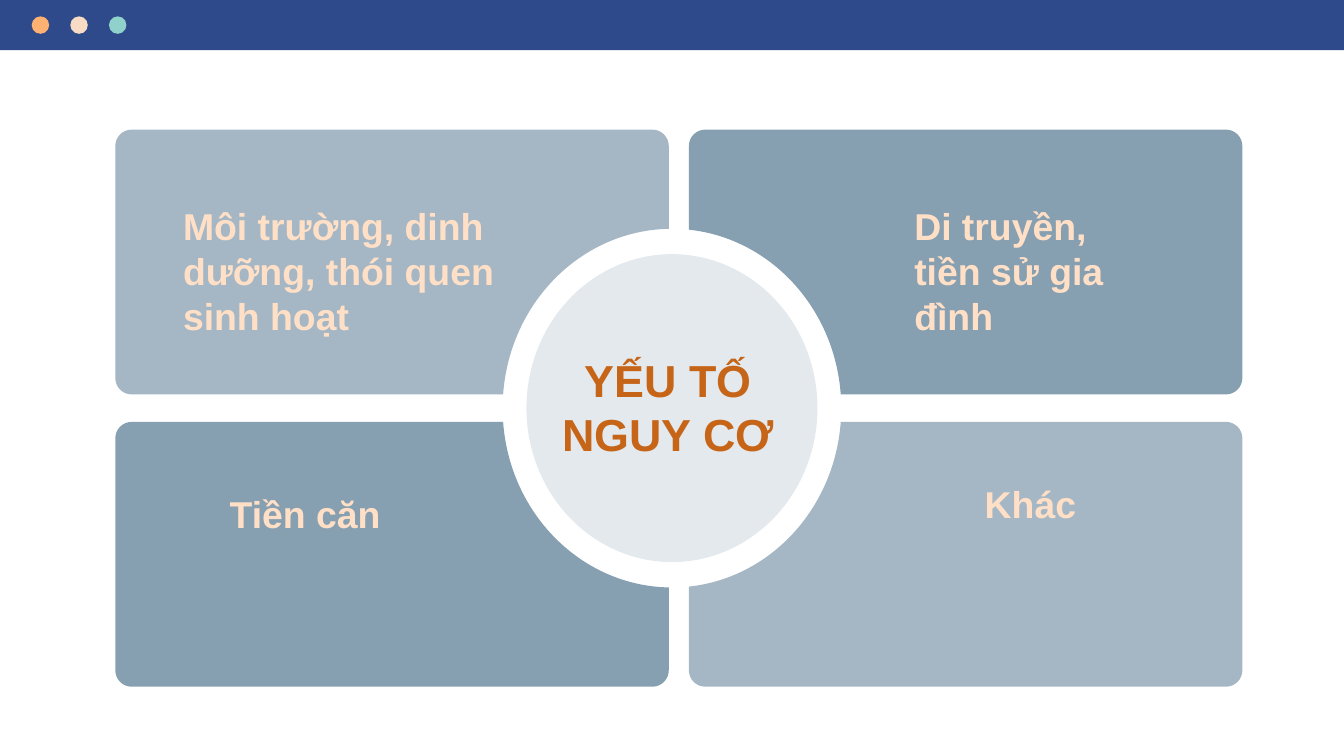
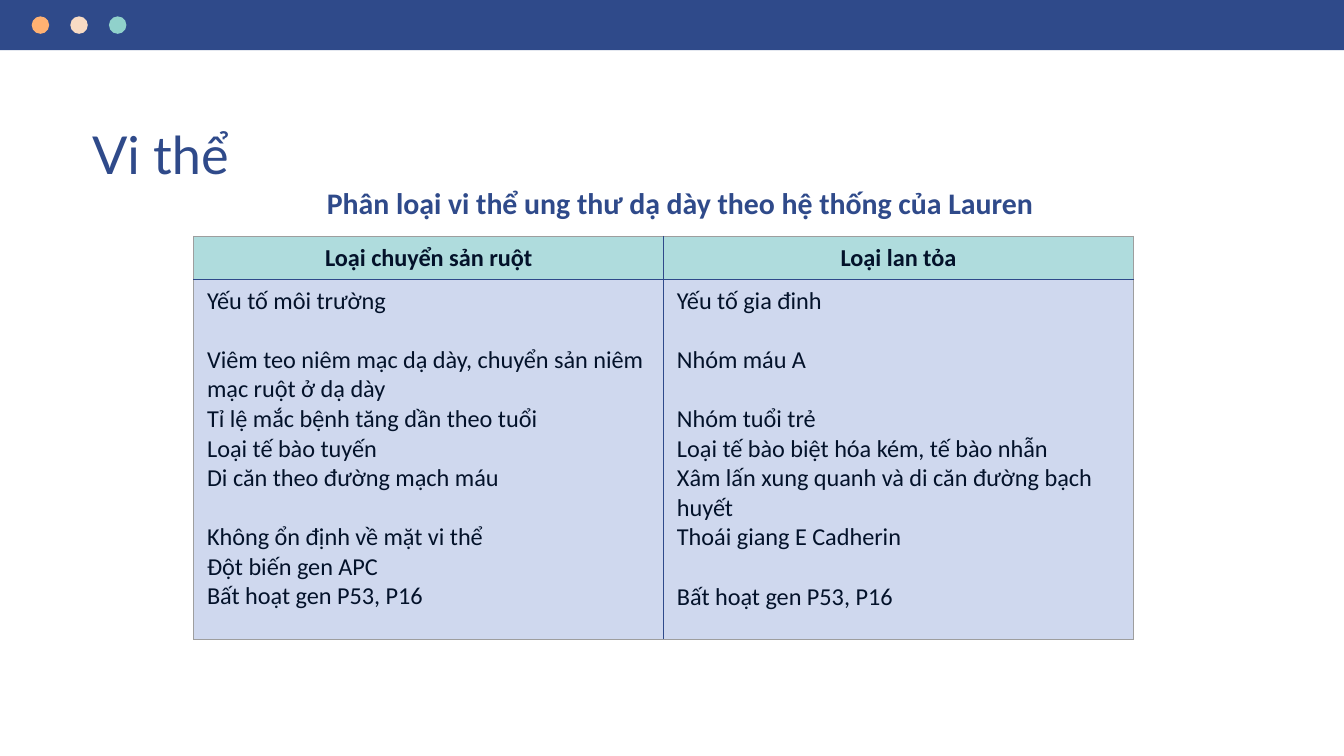
import math
from dataclasses import dataclass

import lxml.etree
import pptx
import pptx.dml.color
import pptx.enum.shapes
import pptx.enum.text
import pptx.oxml.ns
import pptx.util

Cm = pptx.util.Cm
Pt = pptx.util.Pt
ALIGN = pptx.enum.text.PP_ALIGN
SHAPE = pptx.enum.shapes.MSO_SHAPE
qn = pptx.oxml.ns.qn


@dataclass(frozen=True)
class Theme:
    navy: str = "2F4A8A"
    dots: tuple = ("FFB172", "F8DBC4", "90D1CB")
    light_panel: str = "A5B7C5"
    dark_panel: str = "869FB1"
    hub: str = "E3E9ED"
    hub_text: str = "C66518"
    panel_text: str = "FFE0C7"
    head_fill: str = "AFDCDD"
    body_fill: str = "CFD8EE"
    table_text: str = "03122A"
    outer_border: tuple = ("9E9E9E", 0.75)
    inner_border: tuple = ("2F4A8A", 1)
    hub_font = {"name": "Arial", "size": Pt(24), "bold": True}
    panel_font = {"name": "Arial", "size": Pt(20), "bold": True}
    title_font = {"name": "Lato", "size": Pt(28), "bold": False}
    caption_font = {"name": "Calibri", "size": Pt(16), "bold": True}
    head_font = {"name": "Calibri", "size": Pt(13), "bold": True}
    body_font = {"name": "Calibri", "size": Pt(13), "bold": False}
    skipped_line = Pt(15.87)


THEME = Theme()

RISK_FACTORS = (
    ("Môi trường, dinh dưỡng, thói quen sinh hoạt", (1.03, 1.27, 6.73, 2.82), ALIGN.LEFT),
    ("Di truyền, tiền sử gia đình", (4.01, 1.27, 4.29, 2.82), ALIGN.LEFT),
    ("Tiền căn", (1.91, 1.18, 4.98, 1.12), ALIGN.LEFT),
    ("Khác", (3.51, 1, 5.89, 1.96), ALIGN.CENTER),
)

LAUREN_TYPES = {
    "Loại chuyển sản ruột": (
        ("Yếu tố môi trường",),
        (
            "Viêm teo niêm mạc dạ dày, chuyển sản niêm mạc ruột ở dạ dày",
            "Tỉ lệ mắc bệnh tăng dần theo tuổi",
            "Loại tế bào tuyến",
            "Di căn theo đường mạch máu",
        ),
        (
            "Không ổn định về mặt vi thể",
            "Đột biến gen APC",
            "Bất hoạt gen P53, P16",
        ),
    ),
    "Loại lan tỏa": (
        ("Yếu tố gia đinh",),
        ("Nhóm máu A",),
        (
            "Nhóm tuổi trẻ",
            "Loại tế bào biệt hóa kém, tế bào nhẫn",
            "Xâm lấn xung quanh và di căn đường bạch huyết",
            "Thoái giang E Cadherin",
        ),
        ("Bất hoạt gen P53, P16",),
    ),
}


def rgb(color):
    return pptx.dml.color.RGBColor.from_string(color)


def apply(target, values):
    for attribute, value in values.items():
        setattr(target, attribute, value)


def paint(shape, color):
    shape.shadow.inherit = False
    shape.fill.solid()
    shape.fill.fore_color.rgb = rgb(color)
    shape.line.fill.background()


def add_solid(slide, kind, box, color):
    paint(slide.shapes.add_shape(kind, *map(Cm, box)), color)


def write(paragraph, text, font, color, align):
    paragraph.text = text
    paragraph.alignment = align
    apply(paragraph.font, font)
    paragraph.font.color.rgb = rgb(color)


def add_label(slide, box, text, font, color, align=ALIGN.LEFT):
    frame = slide.shapes.add_textbox(*map(Cm, box)).text_frame
    apply(frame, {
        "word_wrap": True,
        "auto_size": pptx.enum.text.MSO_AUTO_SIZE.SHAPE_TO_FIT_TEXT,
    })
    write(frame.paragraphs[0], text, font, color, align)
    return frame


def add_band(slide, box):
    left, top, width, height = box
    add_solid(slide, SHAPE.RECTANGLE, box, THEME.navy)
    diameter = 0.33
    for index, color in enumerate(THEME.dots):
        dot = (left + 0.6 + index * 0.73, top + (height - diameter) / 2, diameter, diameter)
        add_solid(slide, SHAPE.OVAL, dot, color)


def arc(center, radii, signs, start, end):
    pull = 4 / 3 * math.tan((end - start) / 4)

    def point(angle, shift):
        across = math.cos(angle) - shift * math.sin(angle)
        down = math.sin(angle) + shift * math.cos(angle)
        return (center[0] + signs[0] * radii[0] * across,
                center[1] + signs[1] * radii[1] * down)

    return [point(start, 0), point(start, pull), point(end, -pull), point(end, 0)]


def add_curved_outline(slide, box, arcs, color):
    left, top, width, height = box
    builder = slide.shapes.build_freeform(Cm(left), Cm(top))
    builder.add_line_segments([
        (Cm(left + width), Cm(top)),
        (Cm(left + width), Cm(top + height)),
        (Cm(left), Cm(top + height)),
    ])
    shape = builder.convert_to_shape()
    outline = next(shape._element.iter(qn("a:path")))
    for segment in list(outline):
        outline.remove(segment)

    def draw(command, points):
        segment = lxml.etree.SubElement(outline, qn(f"a:{command}"))
        for x, y in points:
            lxml.etree.SubElement(segment, qn("a:pt"),
                                  x=str(int(Cm(x - left))), y=str(int(Cm(y - top))))

    for index, (start, *curve) in enumerate(arcs):
        draw("lnTo" if index else "moveTo", [start])
        draw("cubicBezTo", curve)
    draw("close", [])
    paint(shape, color)


def add_panel(slide, box, side, hub_center, cutout, color):
    left, top, width, height = box
    side_x, side_y = side
    outer_x, inner_x = (left, left + width) if side_x < 0 else (left + width, left)
    outer_y, inner_y = (top, top + height) if side_y < 0 else (top + height, top)
    radius, quarter = 0.31, math.pi / 2

    def corner(x, y, signs, start, end):
        center = (x - signs[0] * radius, y - signs[1] * radius)
        return arc(center, (radius, radius), signs, start, end)

    add_curved_outline(slide, box, (
        corner(outer_x, outer_y, side, 0, quarter),
        corner(inner_x, outer_y, (-side_x, side_y), quarter, 0),
        arc(hub_center, cutout, side,
            math.acos(side_x * (inner_x - hub_center[0]) / cutout[0]),
            math.asin(side_y * (inner_y - hub_center[1]) / cutout[1])),
        corner(outer_x, inner_y, (side_x, -side_y), quarter, 0),
    ), color)


def add_risk_grid(slide, box):
    left, top, width, height = box
    gap_x, gap_y = 0.38, 0.52
    panel_w, panel_h = (width - gap_x) / 2, (height - gap_y) / 2
    hub_center = (left + 10.52, top + height / 2)
    hub_rx, hub_ry = 2.75, 2.91
    labels = []
    for index, (text, (dx, dy, label_w, label_h), align) in enumerate(RISK_FACTORS):
        row, column = divmod(index, 2)
        x = left + column * (panel_w + gap_x)
        y = top + row * (panel_h + gap_y)
        color = THEME.light_panel if row == column else THEME.dark_panel
        add_panel(slide, (x, y, panel_w, panel_h), (2 * column - 1, 2 * row - 1),
                  hub_center, (3.2, 3.39), color)
        labels.append(((x + dx, y + dy, label_w, label_h), text, align))
    hub = (hub_center[0] - hub_rx, hub_center[1] - hub_ry, 2 * hub_rx, 2 * hub_ry)
    add_solid(slide, SHAPE.OVAL, hub, THEME.hub)
    add_label(slide, (left + 8.19, top + 4.1, 4.52, 2.31), "YẾU TỐ NGUY CƠ",
              THEME.hub_font, THEME.hub_text, ALIGN.CENTER)
    for label_box, text, align in labels:
        add_label(slide, label_box, text, THEME.panel_font, THEME.panel_text, align)


def add_borders(cell, outer_sides):
    properties = cell._tc.get_or_add_tcPr()
    for side in "LRTB":
        color, points = THEME.outer_border if side in outer_sides else THEME.inner_border
        line = lxml.etree.SubElement(properties, qn(f"a:ln{side}"), w=str(int(Pt(points))))
        fill = lxml.etree.SubElement(line, qn("a:solidFill"))
        lxml.etree.SubElement(fill, qn("a:srgbClr"), val=color)


def fill_cell(cell, outer_sides, color, groups, font, align):
    add_borders(cell, outer_sides)
    cell.fill.solid()
    cell.fill.fore_color.rgb = rgb(color)
    paragraph = cell.text_frame.paragraphs[0]
    for group_index, group in enumerate(groups):
        for line_index, text in enumerate(group):
            if group_index or line_index:
                paragraph = cell.text_frame.add_paragraph()
            write(paragraph, text, font, THEME.table_text, align)
            if group_index and not line_index:
                paragraph.space_before = THEME.skipped_line


def add_lauren_table(slide, box):
    head_height = 0.81
    table = slide.shapes.add_table(2, len(LAUREN_TYPES), *map(Cm, box)).table
    apply(table, {"first_row": False, "horz_banding": False})
    table.rows[0].height = Cm(head_height)
    table.rows[1].height = Cm(box[3] - head_height)
    for column, (heading, groups) in enumerate(LAUREN_TYPES.items()):
        outer = "LR"[column]
        fill_cell(table.cell(0, column), outer + "T", THEME.head_fill,
                  ((heading,),), THEME.head_font, ALIGN.CENTER)
        fill_cell(table.cell(1, column), outer + "B", THEME.body_fill,
                  groups, THEME.body_font, ALIGN.LEFT)


def add_title(slide, box, text):
    frame = add_label(slide, box, text, THEME.title_font, THEME.navy)
    apply(frame, {
        "auto_size": pptx.enum.text.MSO_AUTO_SIZE.NONE,
        "margin_top": Cm(0.25),
        "margin_bottom": Cm(0.25),
    })


def build_risk_slide(slide):
    add_risk_grid(slide, (2.18, 2.45, 21.3, 10.53))


def build_microscopy_slide(slide):
    add_title(slide, (1.49, 2.06, 3.6, 1.3), "Vi thể")
    add_lauren_table(slide, (3.66, 4.47, 17.76, 7.62))
    add_label(slide, (4.45, 3.36, 16.81, 0.94),
              "Phân loại vi thể ung thư dạ dày theo hệ thống của Lauren",
              THEME.caption_font, THEME.navy, ALIGN.CENTER)


def main():
    deck = pptx.Presentation()
    apply(deck, {"slide_width": Cm(25.4), "slide_height": Cm(14.29)})
    for build in (build_risk_slide, build_microscopy_slide):
        slide = deck.slides.add_slide(deck.slide_layouts[6])
        add_band(slide, (0, 0, 25.4, 0.95))
        build(slide)
    deck.save("out.pptx")


if __name__ == "__main__":
    main()
